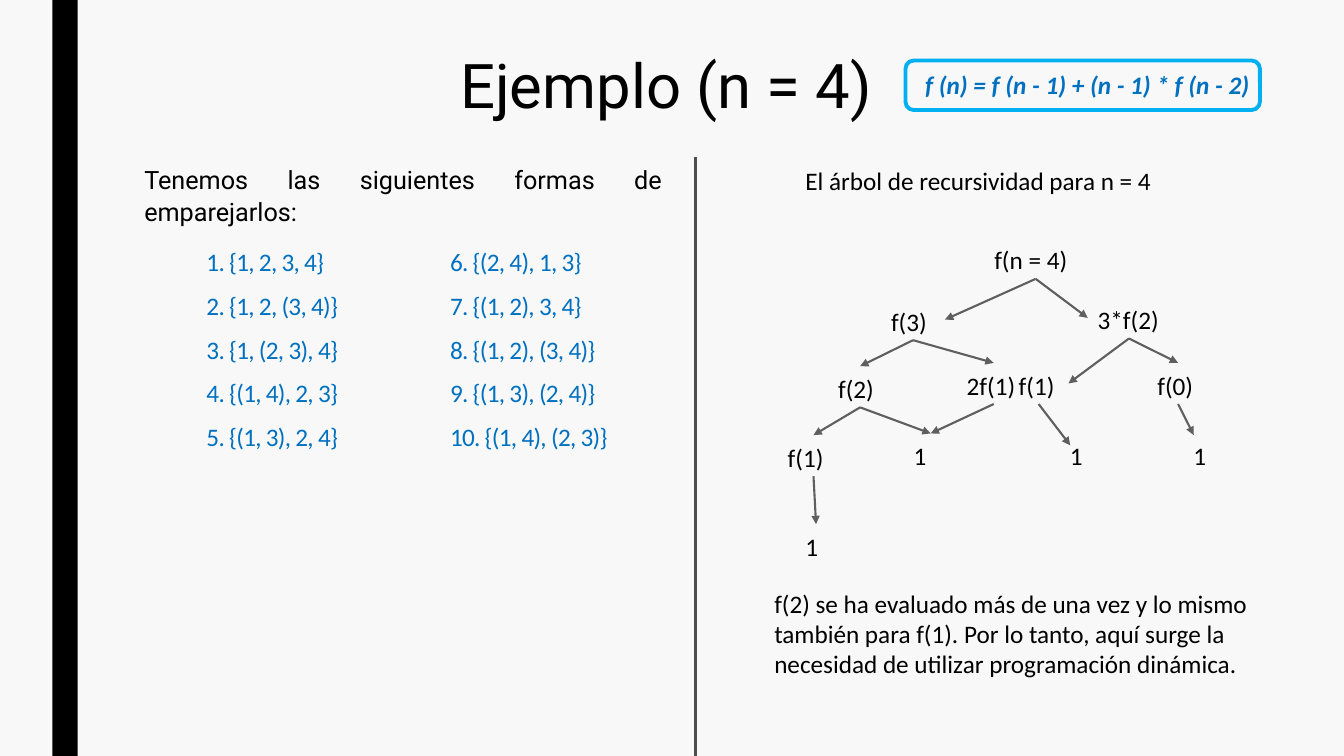
"""Build the slide on the recursion tree for n = 4."""
from lxml.etree import SubElement
from pptx import Presentation
from pptx.dml.color import RGBColor
from pptx.enum.shapes import MSO_CONNECTOR as Connector, MSO_SHAPE as Preset
from pptx.enum.text import MSO_ANCHOR as Anchor, PP_ALIGN as Align
from pptx.oxml.ns import qn
from pptx.util import Inches, Pt

COLUMNS, ROWS = 160, 90
CELL = Inches(1 / 12)
NODE_HEIGHT = 4.9
BLACK, BLUE, CYAN = "000000", "0070C0", "00B0F0"
BODY = {"name": "Calibri", "size": Pt(18)}
INTRO = {"name": "Roboto", "size": Pt(18)}
TITLE = {"name": "Roboto", "size": Pt(44)}
FORMULA = {**BODY, "bold": True, "italic": True}
JUSTIFIED = {"alignment": Align.JUSTIFY, "line_spacing": 1.07, "space_after": Pt(8)}
CENTRED = {**JUSTIFIED, "alignment": Align.CENTER}

PAIRINGS = [
    (23.4, 18.6, ["1. {1, 2, 3, 4}", "2. {1, 2, (3, 4)}", "3. {1, (2, 3), 4}",
                  "4. {(1, 4), 2, 3}", "5. {(1, 3), 2, 4}"]),
    (52.4, 21.8, ["6. {(2, 4), 1, 3}", "7. {(1, 2), 3, 4}", "8. {(1, 2), (3, 4)}",
                  "9. {(1, 3), (2, 4)}", "10. {(1, 4), (2, 3)}"]),
]

CALLS = {
    "root": ("f(n = 4)", 117.2, 28.3, 12.2),
    "f3": ("f(3)", 104.9, 35.6, 7.6),
    "3f2": ("3*f(2)", 129.5, 35.4, 9.8),
    "f2": ("f(2)", 98.6, 43.6, 7.6),
    "2f1": ("2f(1)", 113.9, 43.2, 8.8),
    "f1": ("f(1)", 120.1, 43.2, 7.1),
    "f0": ("f(0)", 136.6, 43.2, 7.3),
    "low f1": ("f(1)", 92.6, 51.8, 8.5),
    "low 1": ("1", 94.7, 62.4, 4.9),
    "shared 1": ("1", 107.6, 51.6, 6.4),
    "f1 1": ("1", 126.2, 51.6, 6.4),
    "f0 1": ("1", 140.9, 51.6, 6.4),
}

TOP, LEFT, RIGHT = (0.5, 0), (0, 0.5), (1, 0.5)
BRANCHES = [
    ("root", "f3", RIGHT), ("root", "3f2", LEFT),
    ("f3", "f2", TOP), ("f3", "2f1", TOP),
    ("3f2", "f1", RIGHT), ("3f2", "f0", TOP),
    ("f2", "low f1", TOP), ("low f1", "low 1", TOP),
    ("f2", "shared 1", TOP), ("f1", "f1 1", (0.19, 0.29)),
    ("f0", "f0 1", (0.19, 0.04)), ("2f1", "shared 1", TOP),
]


def colour(value):
    """Return the colour of a hex string."""
    return RGBColor.from_string(value)


def cells(*counts):
    """Turn grid counts into lengths."""
    return [round(count * CELL) for count in counts]


def apply(target, values):
    """Set every attribute in values on target."""
    for key, value in values.items():
        setattr(target, key, value)


def add_text(slide, area, lines, font=BODY, layout=JUSTIFIED, ink=BLACK,
             anchor=Anchor.TOP, tracking=0):
    """Write one paragraph per line in an area of the grid."""
    frame = slide.shapes.add_textbox(*cells(*area)).text_frame
    apply(frame, {"word_wrap": True, "vertical_anchor": anchor})
    for number, line in enumerate(lines):
        paragraph = frame.paragraphs[0] if number == 0 else frame.add_paragraph()
        apply(paragraph, layout)
        run = paragraph.add_run()
        run.text = line
        apply(run.font, font)
        run.font.color.rgb = colour(ink)
        if tracking:
            run.font._element.set("spc", str(tracking))


def add_panel(slide, preset, area, fill=None, outline=None):
    """Draw a filled or an outlined shape."""
    panel = slide.shapes.add_shape(preset, *cells(*area))
    panel.shadow.inherit = False
    if fill:
        panel.fill.solid()
        panel.fill.fore_color.rgb = colour(fill)
    else:
        panel.fill.background()
    if outline:
        panel.line.color.rgb = colour(outline)
        panel.line.width = Pt(2.75)
    else:
        panel.line.fill.background()


def add_line(slide, start, end, ink, arrow=False):
    """Draw a straight line, with an arrowhead at its end if asked."""
    link = slide.shapes.add_connector(Connector.STRAIGHT, *cells(*start, *end))
    link.line.color.rgb = colour(ink)
    link.line.width = Pt(1.5)
    if arrow:
        SubElement(link.line._get_or_add_ln(), qn("a:tailEnd"), type="triangle")
    SubElement(link._element.spPr, qn("a:effectLst"))


def add_tree(slide):
    """Draw the calls and the branches from each call to the next."""
    for label, left, top, width in CALLS.values():
        add_text(slide, (left, top, width, NODE_HEIGHT), [label])
    for parent, child, (across, down) in BRANCHES:
        _, left, top, width = CALLS[parent]
        _, child_left, child_top, child_width = CALLS[child]
        start = (left + width / 2, top + NODE_HEIGHT)
        end = (child_left + across * child_width, child_top + down * NODE_HEIGHT)
        add_line(slide, start, end, "5F5F5F", arrow=True)


def main():
    """Compose and save the slide."""
    deck = Presentation()
    deck.slide_width, deck.slide_height = cells(COLUMNS, ROWS)
    slide = deck.slides.add_slide(deck.slide_layouts[6])
    slide.background.fill.solid()
    slide.background.fill.fore_color.rgb = colour("F8F8F8")

    add_panel(slide, Preset.RECTANGLE, (6.24, 0, 3, ROWS), fill=BLACK)
    add_text(slide, (53.6, 6.1, 52.7, 10.8), ["Ejemplo (n = 4)"], TITLE,
             {"line_spacing": 0.89})
    for left, width, pairings in PAIRINGS:
        add_text(slide, (left, 29.3, width, 25), pairings, ink=BLUE,
                 anchor=Anchor.BOTTOM, tracking=-50)
    add_text(slide, (16, 18.7, 64, 4.8),
             ["Tenemos las siguientes formas de emparejarlos:"], INTRO)
    add_line(slide, (82.8, 18.7), (82.8, ROWS), "4D4D4D")
    add_text(slide, (94.7, 18.8, 44.4, NODE_HEIGHT),
             ["El árbol de recursividad para n = 4"])
    add_tree(slide)
    add_text(slide, (91, 69.4, 63.6, 12.1),
             ["f(2) se ha evaluado más de una vez y lo mismo también para f(1). "
              "Por lo tanto, aquí surge la necesidad de utilizar programación dinámica."],
             layout={})
    add_panel(slide, Preset.ROUNDED_RECTANGLE, (107.8, 7.2, 42.2, 5.9), outline=CYAN)
    add_text(slide, (107.8, 7.4, 43.3, NODE_HEIGHT),
             ["f (n) = f (n - 1) + (n - 1) * f (n - 2)"], FORMULA, CENTRED, BLUE)
    deck.save("out.pptx")


if __name__ == "__main__":
    main()
